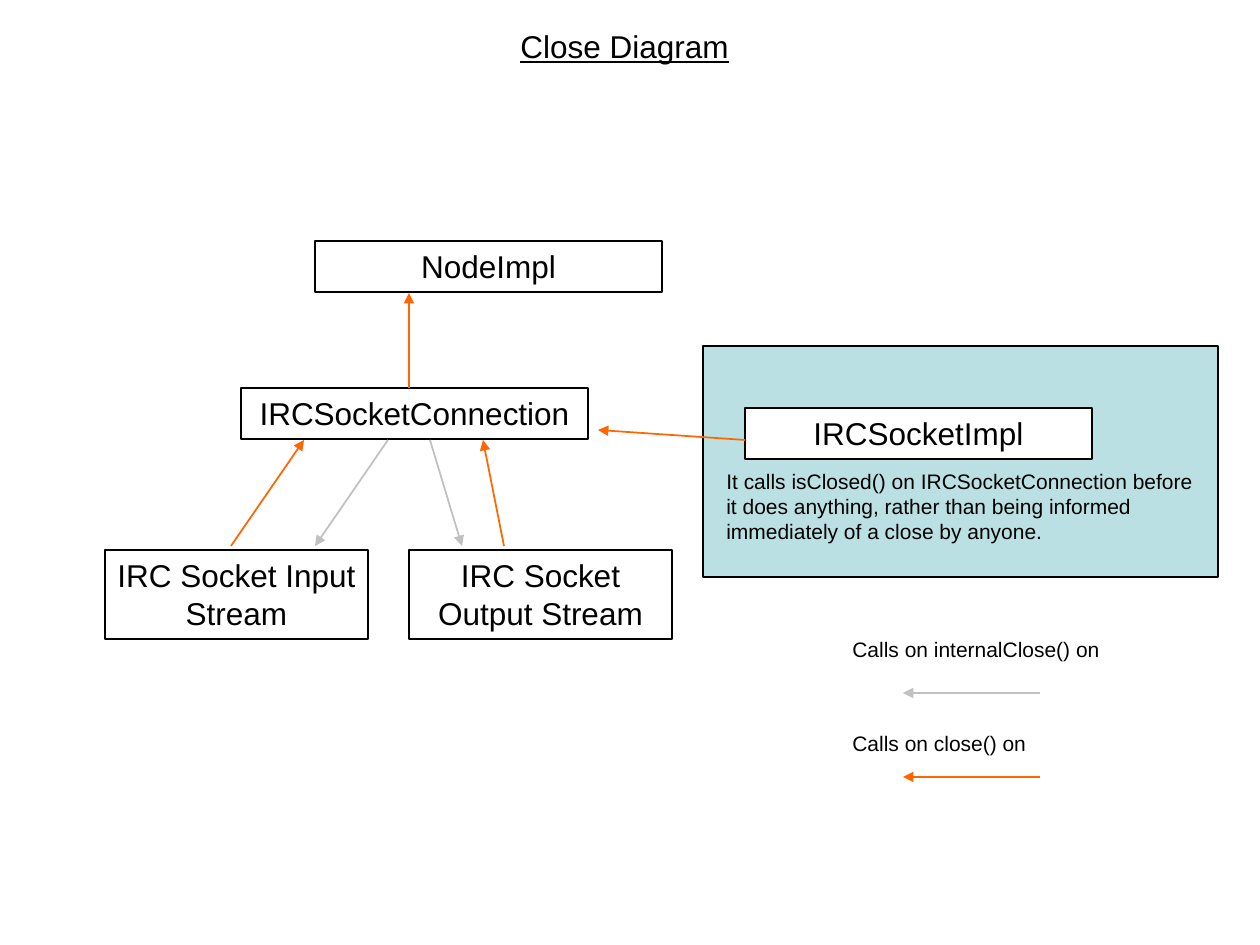
from lxml import etree
from pptx import Presentation, util as u
from pptx.dml.color import RGBColor
from pptx.enum import shapes, text
from pptx.oxml.ns import qn

BLACK = RGBColor(0x00, 0x00, 0x00)
WHITE = RGBColor(0xFF, 0xFF, 0xFF)
TEAL = RGBColor(0xBB, 0xE0, 0xE3)
ORANGE = RGBColor(0xFF, 0x66, 0x00)
GRAY = RGBColor(0xC0, 0xC0, 0xC0)
LEFT, MID = text.PP_ALIGN.LEFT, text.PP_ALIGN.CENTER


def px(n):
    return u.Emu(round(n * 914400 / 126))


class Chart:
    """Draws the boxes, labels and arrows of a call diagram on one slide."""

    font = "Arial"

    def __init__(self, slide):
        self.items = slide.shapes

    def fill_in(self, shape, words, size, align, under=None):
        frame = shape.text_frame
        frame.word_wrap = True
        frame.vertical_anchor = text.MSO_ANCHOR.TOP
        para = frame.paragraphs[0]
        para.alignment = align
        run = para.add_run()
        run.text = words
        run.font.name = self.font
        run.font.size = u.Pt(size)
        run.font.color.rgb = BLACK
        run.font.underline = under

    def box(self, x, y, w, h, words=None, fill=None):
        shape = self.items.add_shape(shapes.MSO_SHAPE.RECTANGLE, px(x), px(y), px(w), px(h))
        shape.shadow.inherit = False
        if fill is None:
            shape.fill.background()
        else:
            shape.fill.solid()
            shape.fill.fore_color.rgb = fill
        shape.line.color.rgb = BLACK
        shape.line.width = u.Pt(0.75)
        if words:
            self.fill_in(shape, words, 18, MID)

    def label(self, x, y, w, h, words, size=12, align=LEFT, under=None):
        shape = self.items.add_textbox(px(x), px(y), px(w), px(h))
        self.fill_in(shape, words, size, align, under)

    def arrow(self, start, end, color):
        edge = self.items.add_connector(
            shapes.MSO_CONNECTOR.STRAIGHT, *map(px, start + end))
        edge.line.color.rgb = color
        edge.line.width = u.Pt(1)
        props = edge._element.spPr
        etree.SubElement(props.find(qn("a:ln")), qn("a:tailEnd"), type="triangle")
        etree.SubElement(props, qn("a:effectLst"))


def main():
    deck = Presentation()
    deck.slide_width, deck.slide_height = px(1260), px(945)
    art = Chart(deck.slides.add_slide(deck.slide_layouts[6]))

    art.box(703, 346, 515, 231, fill=TEAL)
    art.label(168, 21, 913, 51, "Close Diagram", 18, MID, True)

    art.box(315, 241, 347, 51, "NodeImpl")
    art.box(241, 388, 347, 51, "IRCSocketConnection")
    for x, way in (105, "Input"), (409, "Output"):
        art.box(x, 550, 263, 89, f"IRC Socket {way} Stream")
    art.box(745, 408, 347, 51, "IRCSocketImpl", WHITE)

    top, low = 440, 546
    for start, end, color in (
        ((231, low), (304, top), ORANGE),
        ((504, low), (483, top), ORANGE),
        ((409, 388), (409, 293), ORANGE),
        ((388, top), (315, low), GRAY),
        ((430, top), (462, low), GRAY),
        ((745, top), (598, 430), ORANGE),
    ):
        art.arrow(start, end, color)

    for y, row, call, color in (
        (630, 693, "internalClose()", GRAY),
        (724, 777, "close()", ORANGE),
    ):
        art.arrow((1040, row), (903, row), color)
        art.label(840, y, 284, 38, f"Calls on {call} on")
    art.label(714, 462, 504, 88,
              "It calls isClosed() on IRCSocketConnection before it does anything, "
              "rather than being informed immediately of a close by anyone.")

    deck.save("out.pptx")


if __name__ == "__main__":
    main()
